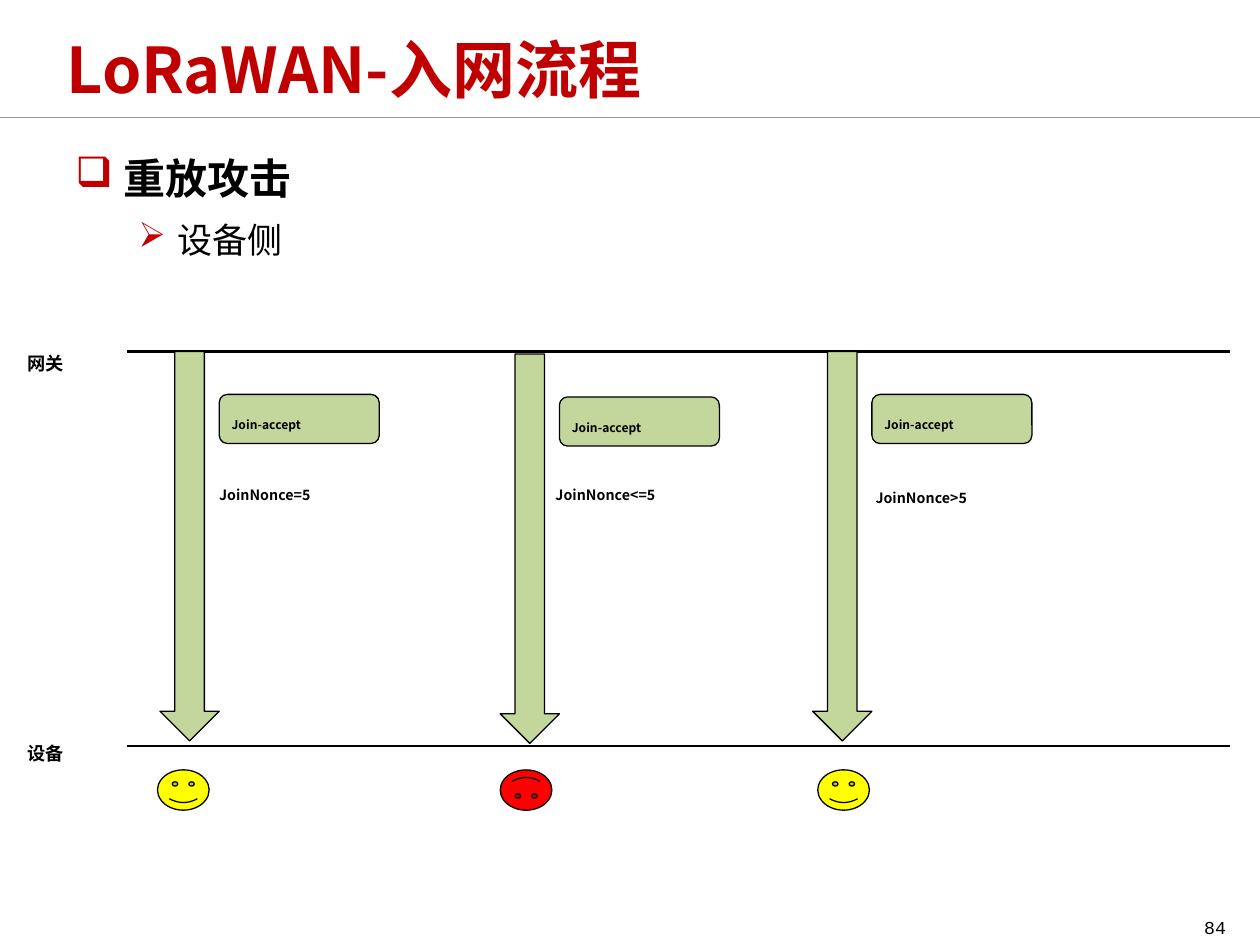
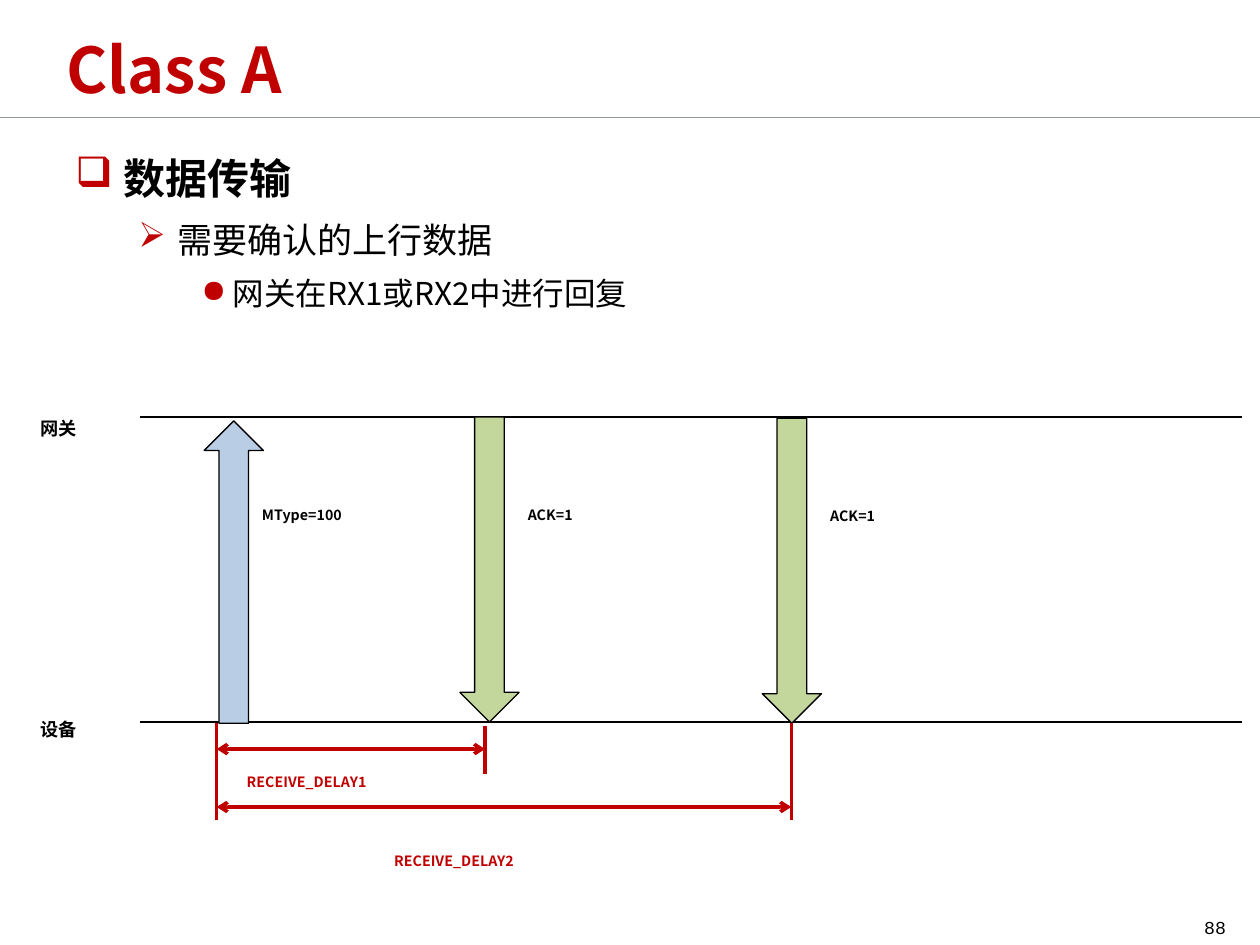
"""Build two slides on LoRaWAN joining and Class A transfer."""
from dataclasses import dataclass
from lxml.etree import SubElement as Sub
from pptx import Presentation
from pptx.dml.color import RGBColor as Rgb
from pptx.enum.shapes import MSO_CONNECTOR as Link, MSO_SHAPE as Kind
from pptx.enum.text import MSO_ANCHOR as Anchor, PP_ALIGN as Align
from pptx.oxml.ns import qn
from pptx.util import Inches, Pt


@dataclass(frozen=True)
class Theme:
    red: str = "C00000"
    black: str = "000000"
    rule: str = "8F9A92"
    green: str = "C3D69B"
    blue: str = "B9CDE5"
    yellow: str = "FFFF00"
    alarm: str = "FF0000"
    font: str = "Noto Sans CJK SC"
    mono: str = "Courier New"
    title: int = 36
    side: int = 18
    note: int = 14
    tag: int = 12
    sub: int = -8
    thin: float = 0.75
    axis: float = 1.5
    mark: float = 2


T = Theme()
LEVELS = [
    dict(char="❑", left=0.38, hang=0.38, size=24, bold=True),
    dict(char="➢", left=0.81, hang=0.31, size=20, bold=False),
    dict(char="●", left=1.25, hang=0.25, size=18, bold=False),
]

JOIN = dict(title="LoRaWAN-入网流程", page="84", points=["重放攻击", "设备侧"],
            left=0.12, top=2.79, base=5.92)
JOINS = [
    dict(x=1.27, y=2.79, note="JoinNonce=5", at=(1.64, 3.71), face=1.25, good=True),
    dict(x=3.97, y=2.81, note="JoinNonce<=5", at=(4.31, 3.71), face=3.97, good=False),
    dict(x=6.45, y=2.79, note="JoinNonce>5", at=(6.85, 3.74), face=6.49, good=True),
]

CLASS = dict(title="Class A", page="88",
             points=["数据传输", "需要确认的上行数据", "网关在RX1或RX2中进行回复"],
             left=0.22, top=3.31, base=5.73)
SENDS = [
    dict(x=1.62, y=3.34, h=2.4, note="MType=100", at=(1.98, 3.87), up=True),
    dict(x=3.65, y=3.31, h=2.42, note="ACK=1", at=(4.09, 3.87), up=False),
    dict(x=6.05, y=3.32, h=2.42, note="ACK=1", at=(6.49, 3.88), up=False),
]
START = 1.72
DELAYS = [
    dict(end=3.85, y=5.945, note="RECEIVE_DELAY1", at=(1.86, 5.99)),
    dict(end=6.28, y=6.405, note="RECEIVE_DELAY2", at=(3.03, 6.62)),
]
TICKS = [(START, 5.74, 6.51), (3.85, 5.76, 6.14), (6.28, 5.74, 6.51)]


def style(run, size, color, bold, font, sub):
    """Format one run of text."""
    run.font.size, run.font.bold, run.font.name = Pt(size), bold, font
    run.font.color.rgb = Rgb.from_string(color)
    props = run._r.get_or_add_rPr()
    Sub(props, qn("a:ea"), typeface=font)
    if sub:
        props.set("baseline", str(sub * 1000))


def text(slide, words, x, y, w, h, *, size=T.note, color=T.black, bold=True,
         font=T.font, sub=T.sub, anchor=Anchor.TOP, align=Align.LEFT):
    """Place one line of text."""
    frame = slide.shapes.add_textbox(*map(Inches, (x, y, w, h))).text_frame
    frame.word_wrap, frame.vertical_anchor = True, anchor
    para = frame.paragraphs[0]
    para.alignment = align
    run = para.add_run()
    run.text = words
    style(run, size, color, bold, font, sub)


def line(slide, x1, y1, x2, y2, color=T.black, width=T.axis, heads=False):
    """Draw a straight line, with open heads at both ends on request."""
    link = slide.shapes.add_connector(Link.STRAIGHT, *map(Inches, (x1, y1, x2, y2)))
    link.line.color.rgb, link.line.width = Rgb.from_string(color), Pt(width)
    if heads:
        for end in ("a:headEnd", "a:tailEnd"):
            Sub(link.line._get_or_add_ln(), qn(end), type="arrow")
    Sub(link._element.spPr, qn("a:effectLst"))


def shape(slide, kind, x, y, w, h, fill, turn=0):
    """Draw a filled shape with a thin black edge."""
    item = slide.shapes.add_shape(kind, *map(Inches, (x, y, w, h)))
    item.shadow.inherit = False
    item.fill.solid()
    item.fill.fore_color.rgb = Rgb.from_string(fill)
    item.line.color.rgb, item.line.width = Rgb.from_string(T.black), Pt(T.thin)
    item.rotation = turn


def bullets(slide, points):
    """Write one point per outline level."""
    frame = slide.shapes.add_textbox(*map(Inches, (0.5, 1.08, 9.08, 5.92))).text_frame
    frame.word_wrap = True
    for i, (words, level) in enumerate(zip(points, LEVELS)):
        para = frame.add_paragraph() if i else frame.paragraphs[0]
        para.level, para.line_spacing = i, 1.2
        if i:
            para.space_before = Pt(level["size"] * 0.2)
        props = para._p.get_or_add_pPr()
        props.set("marL", str(Inches(level["left"])))
        props.set("indent", str(-Inches(level["hang"])))
        Sub(Sub(props, qn("a:buClr")), qn("a:srgbClr"), val=T.red)
        Sub(props, qn("a:buChar"), char=level["char"])
        run = para.add_run()
        run.text = words
        style(run, level["size"], T.black, level["bold"], T.font, 0)


def base(deck, data):
    """Add a slide with its title, outline, page number and two time lines."""
    slide = deck.slides.add_slide(deck.slide_layouts[6])
    line(slide, 0, 0.93, 10, 0.93, T.rule, 0.25)
    text(slide, data["title"], 0.43, 0.04, 9.01, 1, size=T.title, color=T.red,
         sub=0, anchor=Anchor.MIDDLE)
    bullets(slide, data["points"])
    text(slide, data["page"], 9, 7.17, 0.83, 0.25, size=T.side, bold=False,
         font=T.mono, anchor=Anchor.MIDDLE, align=Align.RIGHT)
    left = data["left"]
    for name, y, lift in (("网关", data["top"], 0.17), ("设备", data["base"], 0.2)):
        line(slide, left + 0.89, y, left + 9.64, y)
        text(slide, name, left, y - lift, 0.73, 0.4, size=T.side)
    return slide


def join(deck):
    """Draw the replay check on the device side."""
    slide = base(deck, JOIN)
    for step in JOINS:
        x, y = step["x"], step["y"]
        good = step["good"]
        shape(slide, Kind.SMILEY_FACE, step["face"], 6.11, 0.41, 0.32,
              T.yellow if good else T.alarm, 0 if good else 180)
        shape(slide, Kind.DOWN_ARROW, x, y, 0.47, 3.09, T.green)
        shape(slide, Kind.ROUNDED_RECTANGLE, x + 0.47, y + 0.34, 1.27, 0.39, T.green)
        text(slide, "Join-accept", x + 0.47, y + 0.39, 1.27, 0.3, size=T.tag)
        text(slide, step["note"], *step["at"], 1.91, 0.34)


def send(deck):
    """Draw the uplink and its two reply windows."""
    slide = base(deck, CLASS)
    for step in SENDS:
        up = step["up"]
        shape(slide, Kind.DOWN_ARROW, step["x"], step["y"], 0.47, step["h"],
              T.blue if up else T.green, 180 if up else 0)
        text(slide, step["note"], *step["at"], 1.91 if up else 0.88, 0.34)
    for x, top, end in TICKS:
        line(slide, x, top, x, end, T.red, T.mark)
    for wait in DELAYS:
        line(slide, START, wait["y"], wait["end"], wait["y"], T.red, T.mark, True)
        text(slide, wait["note"], *wait["at"], 2.01, 0.34, color=T.red)


def main():
    """Build and save the deck."""
    deck = Presentation()
    deck.slide_width, deck.slide_height = Inches(10), Inches(7.5)
    join(deck)
    send(deck)
    deck.save("out.pptx")


if __name__ == "__main__":
    main()
